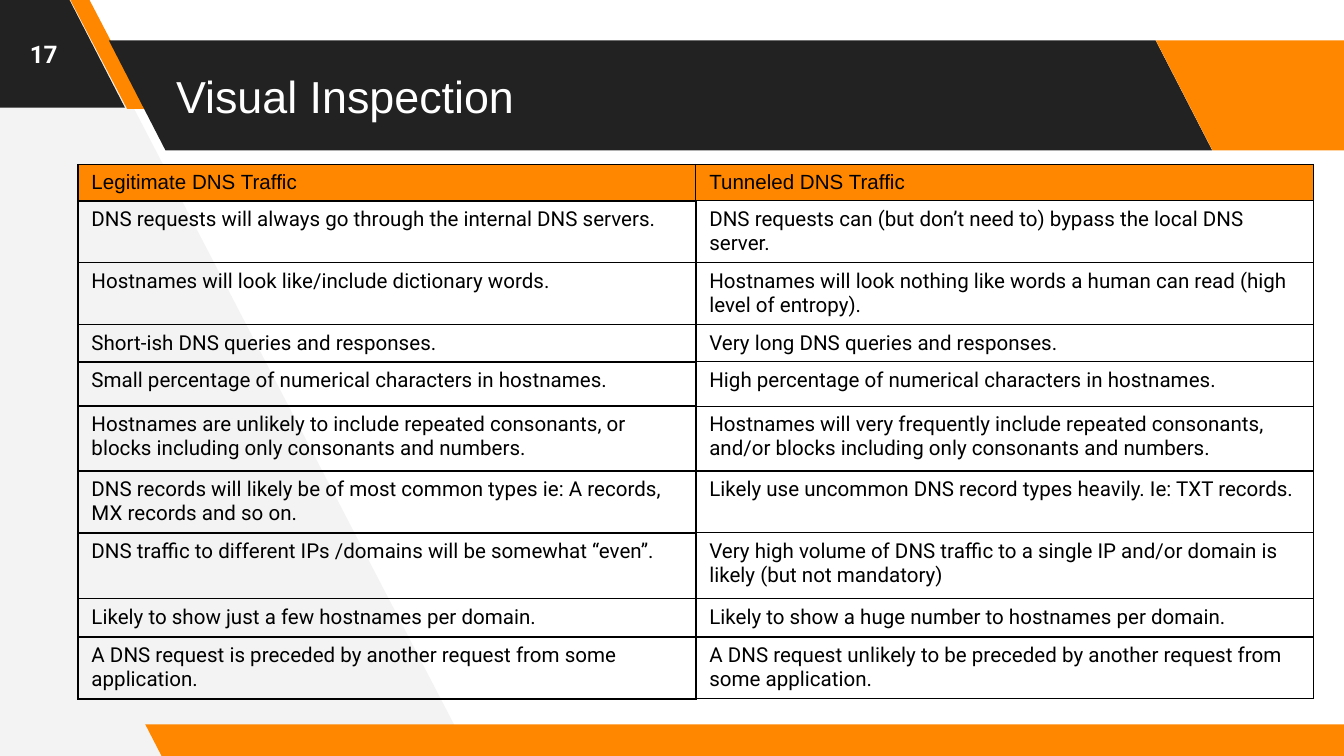
"""Build the slide that compares legitimate and tunneled DNS traffic."""
from lxml.etree import SubElement
from pptx import Presentation
from pptx.dml.color import RGBColor
from pptx.enum.shapes import MSO_SHAPE
from pptx.enum.text import MSO_ANCHOR as ANCHOR, MSO_AUTO_SIZE as AUTO, PP_ALIGN as ALIGN
from pptx.oxml.ns import qn
from pptx.util import Pt

BLACK = RGBColor(0x00, 0x00, 0x00)
WHITE = RGBColor(0xFF, 0xFF, 0xFF)
DARK = RGBColor(0x22, 0x22, 0x22)
ORANGE = RGBColor(0xFF, 0x87, 0x00)
PALE = RGBColor(0xF3, 0xF3, 0xF3)


def write(tf, text, font="Roboto", size=11, color=BLACK, bold=False, align=ALIGN.LEFT):
    p = tf.paragraphs[0]
    p.alignment = align
    r = p.add_run()
    r.text = text
    r.font.name = font
    r.font.size = Pt(size)
    r.font.bold = bold
    r.font.color.rgb = color


def add_border(cell, side, width):
    ln = SubElement(cell._tc.get_or_add_tcPr(), qn(f"a:ln{side}"), w=str(Pt(width)))
    fill = SubElement(ln, qn("a:solidFill"))
    SubElement(fill, qn("a:srgbClr"), val=str(BLACK))


prs = Presentation()
prs.slide_width, prs.slide_height = Pt(720), Pt(405)
s = prs.slides.add_slide(prs.slide_layouts[5])

builder = s.shapes.build_freeform(252, 404.6, scale=Pt(1))
builder.add_line_segments([(40.3, -2.9), (-4.3, -2.9), (-1.4, 407.5)], close=True)
wedge = builder.convert_to_shape()
wedge.shadow.inherit = False
wedge.fill.solid()
wedge.fill.fore_color.rgb = PALE
wedge.line.fill.background()

BANDS = [
    (-71.3, -1.4, 138.2, 59, 0.515, DARK),
    (37.4, -0.7, 41, 59, 0.75, ORANGE),
    (58.3, 21.6, 591.1, 59, 0.515, DARK),
    (619.2, 21.6, 138.2, 59, 0.515, ORANGE),
    (77.8, 388, 658.8, 18, 0.515, ORANGE),
]
for left, top, width, height, slant, color in BANDS:
    sp = s.shapes.add_shape(MSO_SHAPE.PARALLELOGRAM, Pt(left), Pt(top), Pt(width), Pt(height))
    sp.adjustments[0] = slant
    sp._element.spPr.xfrm.set("flipH", "1")
    sp.shadow.inherit = False
    sp.fill.solid()
    sp.fill.fore_color.rgb = color
    sp.line.fill.background()

title = s.shapes.title
s.shapes._spTree.append(title._element)
title.left, title.top, title.width, title.height = Pt(87.1), Pt(21.6), Pt(529.2), Pt(59)
number = s.shapes.add_textbox(0, 0, Pt(46.8), Pt(57.6))
for sp in (title, number):
    tf = sp.text_frame
    tf.word_wrap = True
    tf.auto_size = AUTO.NONE
    tf.vertical_anchor = ANCHOR.MIDDLE
    tf.margin_left = tf.margin_right = tf.margin_top = tf.margin_bottom = Pt(7.2)
write(title.text_frame, "Visual Inspection", font="Arial", size=24, color=WHITE)
write(number.text_frame, "17", size=13, color=WHITE, bold=True, align=ALIGN.CENTER)

ROWS = [
    (19, "Legitimate DNS Traffic", "Tunneled DNS Traffic"),
    (33.1, "DNS requests will always go through the internal DNS servers.",
     "DNS requests can (but don’t need to) bypass the local DNS server."),
    (33.1, "Hostnames will look like/include dictionary words.",
     "Hostnames will look nothing like words a human can read (high level of entropy)."),
    (20.1, "Short-ish DNS queries and responses.", "Very long DNS queries and responses."),
    (23.8, "Small percentage of numerical characters in hostnames.",
     "High percentage of numerical characters in hostnames."),
    (34.7, "Hostnames are unlikely to include repeated consonants, or blocks including only "
     "consonants and numbers.",
     "Hostnames will very frequently include repeated consonants, and/or blocks including only "
     "consonants and numbers."),
    (33.1, "DNS records will likely be of most common types ie: A records, MX records and so on.",
     "Likely use uncommon DNS record types heavily. Ie: TXT records."),
    (35.3, "DNS traffic to different IPs /domains will be somewhat “even”.",
     "Very high volume of DNS traffic to a single IP and/or domain is likely "
     "(but not mandatory)"),
    (20.6, "Likely to show just a few hostnames per domain.",
     "Likely to show a huge number to hostnames per domain."),
    (33.1, "A DNS request is preceded by another request from some application.",
     "A DNS request unlikely to be preceded by another request from some application."),
]
height = sum(row[0] for row in ROWS)
frame = s.shapes.add_table(len(ROWS), 2, Pt(41.8), Pt(88.1), Pt(662), Pt(height))
table = frame.table
for col in table.columns:
    col.width = Pt(331)
for i, (row_height, *texts) in enumerate(ROWS):
    table.rows[i].height = Pt(row_height)
    for j, text in enumerate(texts):
        cell = table.cell(i, j)
        for side in "LRTB":
            heavy = i > 0 and (j == 0 or side == "L")
            add_border(cell, side, 1 if heavy else 0.75)
        if i == 0:
            cell.fill.solid()
            cell.fill.fore_color.rgb = ORANGE
        else:
            cell.fill.background()
        write(cell.text_frame, text, font="Roboto" if i else "Arial")

prs.save("out.pptx")
